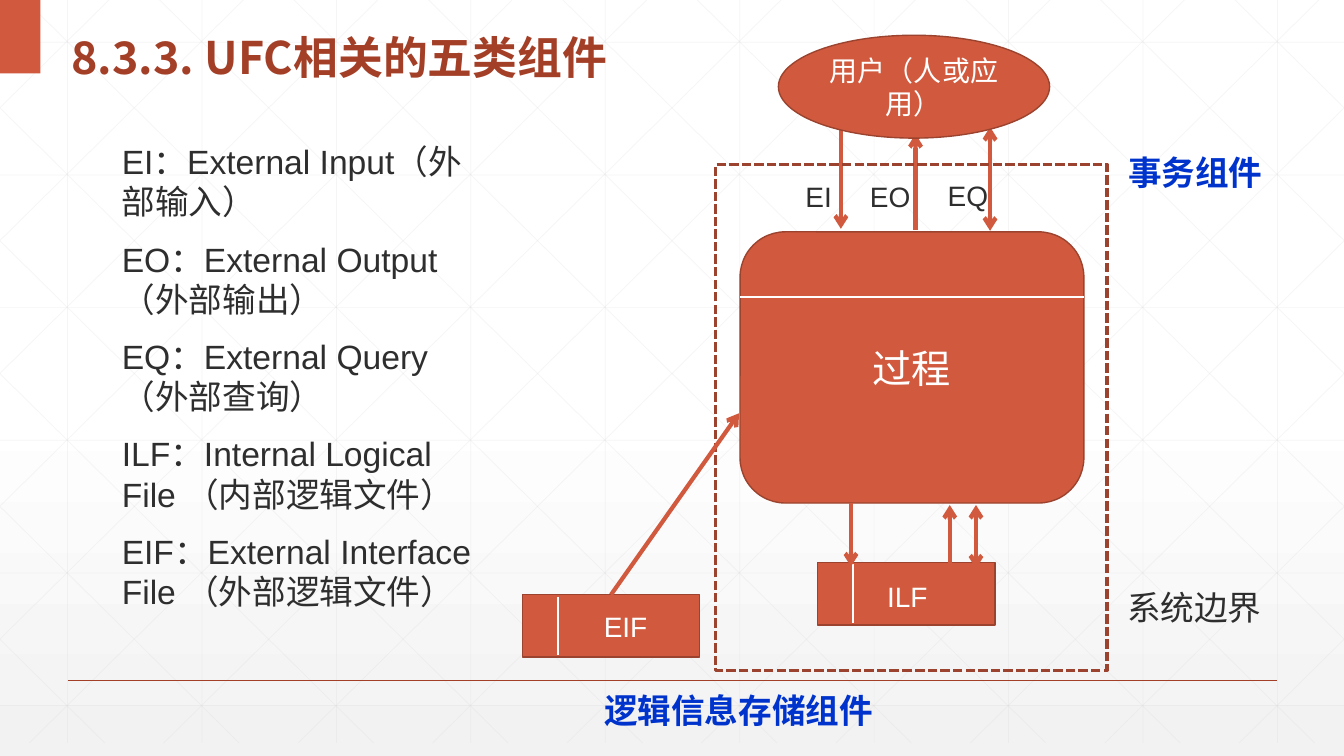
from lxml import etree
from pptx import Presentation
from pptx.dml.color import RGBColor
from pptx.enum import dml, shapes, text
from pptx.oxml import ns
from pptx.util import Inches, Pt

WHITE = RGBColor(0xFF, 0xFF, 0xFF)
PALE = RGBColor(0xF2, 0xF2, 0xF2)
GRID = RGBColor(0xD9, 0xD9, 0xD9)
RUST = RGBColor(0xA4, 0x3F, 0x27)
CORAL = RGBColor(0xD1, 0x5A, 0x3E)
OUTLINE = RGBColor(0x9B, 0x43, 0x2E)
INK = RGBColor(0x2D, 0x2E, 0x2D)
BLUE = RGBColor(0x00, 0x33, 0xCC)
WIDTH, HEIGHT, GRID_HEIGHT, STEP = 13.33, 7.5, 7.37, 4 / 3
HEADING_FONT, BODY_FONT = "Noto Sans CJK SC", "Arial"
COMPONENTS = [
    "EI：External Input（外部输入）",
    "EO：External Output （外部输出）",
    "EQ：External Query （外部查询）",
    "ILF：Internal Logical File （内部逻辑文件）",
    "EIF：External Interface File （外部逻辑文件）",
]


def add_child(parent, tag, **attributes):
    """Append a drawing element with the given attributes."""
    return etree.SubElement(parent, ns.qn(tag), attributes)


def paint_background(slide):
    """Fill the slide with a vertical fade from white to pale grey."""
    fill = slide.background.fill
    fill.gradient()
    fill.gradient_angle = 270
    stops = slide.background._cSld.find(".//" + ns.qn("a:gsLst"))
    for stop in list(stops):
        stops.remove(stop)
    for position, colour, alpha in ((0, WHITE, 100), (53, WHITE, 100), (100, PALE, 65)):
        stop = add_child(stops, "a:gs", pos=str(position * 1000))
        tint = add_child(stop, "a:srgbClr", val=str(colour))
        add_child(tint, "a:alpha", val=str(alpha * 1000))


def add_line(slide, start, end, colour, width, ends=(), alpha=None):
    """Draw a straight line with optional arrowheads and opacity."""
    points = [Inches(value) for value in (*start, *end)]
    line = slide.shapes.add_connector(shapes.MSO_CONNECTOR.STRAIGHT, *points)
    line.line.color.rgb = colour
    line.line.width = Pt(width)
    stroke = line.line._get_or_add_ln()
    if alpha:
        tint = stroke.find(".//" + ns.qn("a:srgbClr"))
        add_child(tint, "a:alpha", val=str(alpha * 1000))
    for end_name in ends:
        add_child(stroke, f"a:{end_name}End", type="arrow")
    add_child(line._element.spPr, "a:effectLst")
    return line


def write_text(frame, lines, size, colour, font=BODY_FONT, bold=False, centred=False, spacing=None):
    """Write paragraphs in one format."""
    for index, line in enumerate(lines):
        paragraph = frame.paragraphs[0] if index == 0 else frame.add_paragraph()
        paragraph.alignment = text.PP_ALIGN.CENTER if centred else text.PP_ALIGN.LEFT
        paragraph.line_spacing = spacing
        if index:
            paragraph.space_before = Pt(12)
        run = paragraph.add_run()
        run.text = line
        for name, value in {"size": Pt(size), "bold": bold, "name": font}.items():
            setattr(run.font, name, value)
        run.font.color.rgb = colour
        add_child(run._r.get_or_add_rPr(), "a:ea", typeface=font)


def add_label(slide, box, lines, size, colour, wrap=False, anchor=text.MSO_ANCHOR.TOP, **style):
    """Place a free-standing text box."""
    frame = slide.shapes.add_textbox(*map(Inches, box)).text_frame
    frame.word_wrap = wrap
    frame.vertical_anchor = anchor
    write_text(frame, lines, size, colour, **style)


def add_block(slide, kind, box, caption=None, size=20, fill=CORAL, outline=OUTLINE, width=1):
    """Draw a preset shape with an optional centred caption."""
    block = slide.shapes.add_shape(kind, *map(Inches, box))
    block.shadow.inherit = False
    if fill is None:
        block.fill.background()
    else:
        block.fill.solid()
        block.fill.fore_color.rgb = fill
    if outline is None:
        block.line.fill.background()
    else:
        block.line.color.rgb = outline
        block.line.width = Pt(width)
    if caption:
        block.text_frame.vertical_anchor = text.MSO_ANCHOR.MIDDLE
        write_text(block.text_frame, [caption], size, WHITE, centred=True)
    return block


def add_grid(slide):
    """Draw the faint upright and diagonal lattice."""
    faint = {"colour": GRID, "width": 0.5, "alpha": 25}
    for column in range(10):
        x = 0.67 + column * STEP
        add_line(slide, (x, 0), (x, GRID_HEIGHT), **faint)
    for row in range(6):
        y = 0.42 + row * 1.316
        add_line(slide, (0, y), (WIDTH, y), **faint)
    reach = 7.455
    for index in range(-5, 10):
        origin = 0.25 + index * STEP
        left, right = max(0, origin), min(WIDTH, origin + reach)
        top, bottom = ((x - origin) * GRID_HEIGHT / reach for x in (left, right))
        add_line(slide, (left, top), (right, bottom), **faint)
        add_line(slide, (WIDTH - left, top), (WIDTH - right, bottom), **faint)


def add_store(slide, left, top):
    """Draw a data store box with its divider."""
    store = add_block(slide, shapes.MSO_SHAPE.RECTANGLE, (left, top, 1.76, 0.62))
    add_line(slide, (left + 0.35, top + 0.02), (left + 0.35, top + 0.6), WHITE, 1.5)
    return store


def add_flows(slide, flows):
    """Draw vertical data flow arrows."""
    for x, top, bottom, ends in flows:
        add_line(slide, (x, top), (x, bottom), CORAL, 3, ends)


def add_diagram(slide):
    """Draw the user, process and data stores with their flows."""
    preset = shapes.MSO_SHAPE
    add_block(slide, preset.ROUNDED_RECTANGLE, (7.34, 2.3, 3.41, 2.69), "过程", 28)
    add_flows(slide, [(8.34, 1.28, 2.27, ["tail"]), (9.08, 1.33, 2.28, ["head"]),
                      (9.82, 1.26, 2.29, ["head", "tail"])])
    add_block(slide, preset.OVAL, (7.72, 0.35, 2.69, 1.02), "用户（人或应用）")
    for caption, left, top, width in (("EI", 7.89, 1.73, 0.47), ("EO", 8.53, 1.73, 0.62),
                                      ("EQ", 9.3, 1.72, 0.62)):
        add_label(slide, (left, top, width, 0.44), [caption], 20, INK)
    add_line(slide, (7.34, 2.95), (10.75, 2.95), WHITE, 1.5)
    add_store(slide, 8.11, 5.58)
    add_flows(slide, [(8.44, 4.99, 5.62, ["tail"]), (9.42, 5.01, 5.64, ["head"]),
                      (9.68, 5.01, 5.64, ["head", "tail"])])
    external_store = add_store(slide, 5.18, 5.9)
    add_label(slide, (8.7, 5.7, 0.63, 0.44), ["ILF"], 20, WHITE)
    add_label(slide, (5.89, 6, 0.64, 0.44), ["EIF"], 20, WHITE)
    boundary = add_block(slide, preset.RECTANGLE, (7.1, 1.63, 3.88, 5.02), fill=None, width=2.25)
    boundary.line.dash_style = dml.MSO_LINE.SQUARE_DOT
    external_flow = add_line(slide, (6.06, 5.9), (7.33, 4.1), CORAL, 3, ["tail"])
    external_flow.begin_connect(external_store, 0)


def main():
    """Build the slide and save it."""
    deck = Presentation()
    deck.slide_width, deck.slide_height = Inches(WIDTH), Inches(HEIGHT)
    slide = deck.slides.add_slide(deck.slide_layouts[6])
    paint_background(slide)
    add_grid(slide)
    add_line(slide, (0.67, 6.75), (12.67, 6.75), RUST, 1)
    add_block(slide, shapes.MSO_SHAPE.RECTANGLE, (0, 0, 0.4, 0.73), outline=None)
    add_label(slide, (0.61, 0.12, 6.71, 0.73), ["8.3.3. UFC相关的五类组件"], 32, RUST, wrap=True,
              anchor=text.MSO_ANCHOR.MIDDLE, font=HEADING_FONT, bold=True, spacing=1.3)
    add_diagram(slide)
    add_label(slide, (1.11, 1.35, 3.9, 4.81), COMPONENTS, 24, INK, wrap=True)
    add_label(slide, (11.03, 5.77, 1.63, 0.5), ["系统边界"], 24, INK, wrap=True, centred=True)
    for caption, box in (("逻辑信息存储组件", (5.88, 6.8, 2.89, 0.5)),
                         ("事务组件", (11.08, 1.46, 1.55, 0.5))):
        add_label(slide, box, [caption], 24, BLUE, bold=True, centred=True)
    deck.save("out.pptx")


if __name__ == "__main__":
    main()
